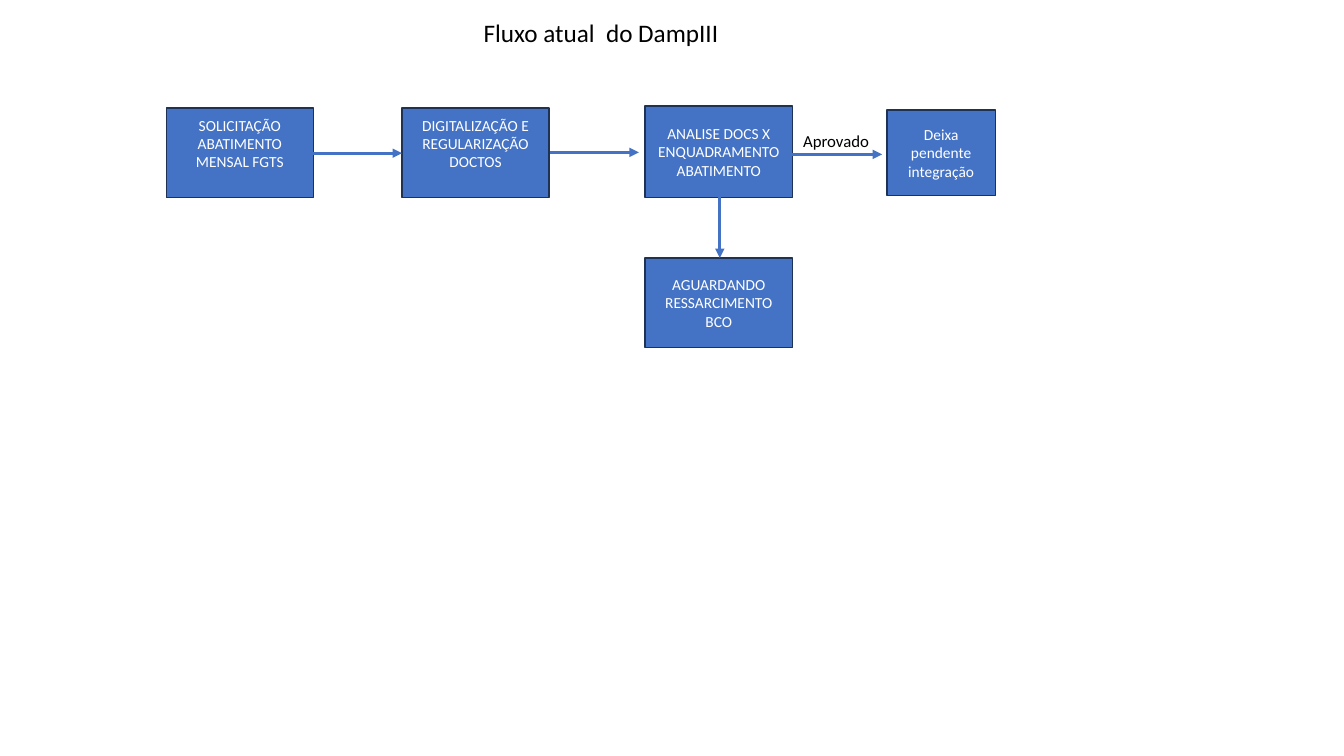
from lxml.etree import SubElement as Sub
from pptx import Presentation
from pptx.dml.color import RGBColor as RGB
from pptx.enum.shapes import MSO_CONNECTOR as Link, MSO_SHAPE as Kind
from pptx.enum.text import MSO_ANCHOR as Anchor, MSO_AUTO_SIZE as Fit, PP_ALIGN as Align
from pptx.oxml.ns import qn
from pptx.util import Cm, Pt

BLUE = RGB(0x44, 0x72, 0xC4)
NAVY = RGB(0x1E, 0x32, 0x56)
WHITE = RGB(0xFF, 0xFF, 0xFF)
BLACK = RGB(0x00, 0x00, 0x00)

WIDE = 3.71
HIGH = 2.26
PAD = 0.13
LIFT = 0.6

STEPS = [
    ("SOLICITAÇÃO ABATIMENTO MENSAL FGTS", 0, 0.05, WIDE, HIGH, LIFT),
    ("DIGITALIZAÇÃO E REGULARIZAÇÃO DOCTOS", 5.94, 0.05, WIDE, HIGH, LIFT),
    ("ANALISE DOCS X ENQUADRAMENTO ABATIMENTO", 12.07, 0, WIDE, 2.31, PAD),
    ("Deixa pendente integração", 18.16, 0.1, 2.74, 2.16, PAD),
    ("AGUARDANDO RESSARCIMENTO BCO", 12.07, 3.83, WIDE, HIGH, PAD),
]
ARROWS = [
    (3.71, 1.19, 5.94, 1.19),
    (9.68, 1.17, 11.91, 1.17),
    (13.95, 2.21, 13.95, 3.83),
    (15.77, 1.22, 18.04, 1.22),
]


def write(frame, text, size, color, align):
    """Put one line of text in a frame and set its font."""
    para = frame.paragraphs[0]
    para.text = text
    para.alignment = align
    font = para.font
    font.name, font.size, font.color.rgb = "Calibri", Pt(size), color


def label(slide, text, left, top, width, height, size):
    """Add a plain black label that does not wrap."""
    frame = slide.shapes.add_textbox(Cm(left), Cm(top), Cm(width), Cm(height)).text_frame
    frame.word_wrap = False
    frame.auto_size = Fit.SHAPE_TO_FIT_TEXT
    write(frame, text, size, BLACK, Align.LEFT)


def step(slide, text, left, top, width, height, foot):
    """Add one step box, with its text raised by the bottom inset."""
    box = slide.shapes.add_shape(Kind.RECTANGLE, Cm(left), Cm(top), Cm(width), Cm(height))
    box.shadow.inherit = False
    box.fill.solid()
    box.fill.fore_color.rgb = BLUE
    box.line.color.rgb = NAVY
    box.line.width = Pt(1)
    frame = box.text_frame
    frame.word_wrap = True
    frame.vertical_anchor = Anchor.MIDDLE
    frame.margin_bottom = Cm(foot)
    write(frame, text, 11, WHITE, Align.CENTER)


def arrow(slide, left, top, right, bottom):
    """Add a blue arrow that points at its second end."""
    link = slide.shapes.add_connector(Link.STRAIGHT, Cm(left), Cm(top), Cm(right), Cm(bottom))
    link.line.color.rgb = BLUE
    link.line.width = Pt(2.25)
    Sub(link.line._get_or_add_ln(), qn("a:tailEnd"), type="triangle")
    Sub(link._element.spPr, qn("a:effectLst"))


def flow(slide, left, top):
    """Draw the whole flow from its top left corner."""
    for text, across, down, width, height, foot in STEPS:
        step(slide, text, left + across, top + down, width, height, foot)
    for x, y, end, low in ARROWS:
        arrow(slide, left + x, top + y, left + end, top + low)
    label(slide, "Aprovado", left + 15.8, top + 0.51, 2.18, 0.76, 12)


def main():
    """Build the slide and save it."""
    deck = Presentation()
    deck.slide_width, deck.slide_height = Cm(33.87), Cm(19.05)
    slide = deck.slides.add_slide(deck.slide_layouts[6])
    label(slide, "Fluxo atual  do DampIII", 11.94, 0.3, 6.65, 1.02, 18)
    flow(slide, 4.19, 2.67)
    deck.save("out.pptx")


if __name__ == "__main__":
    main()
